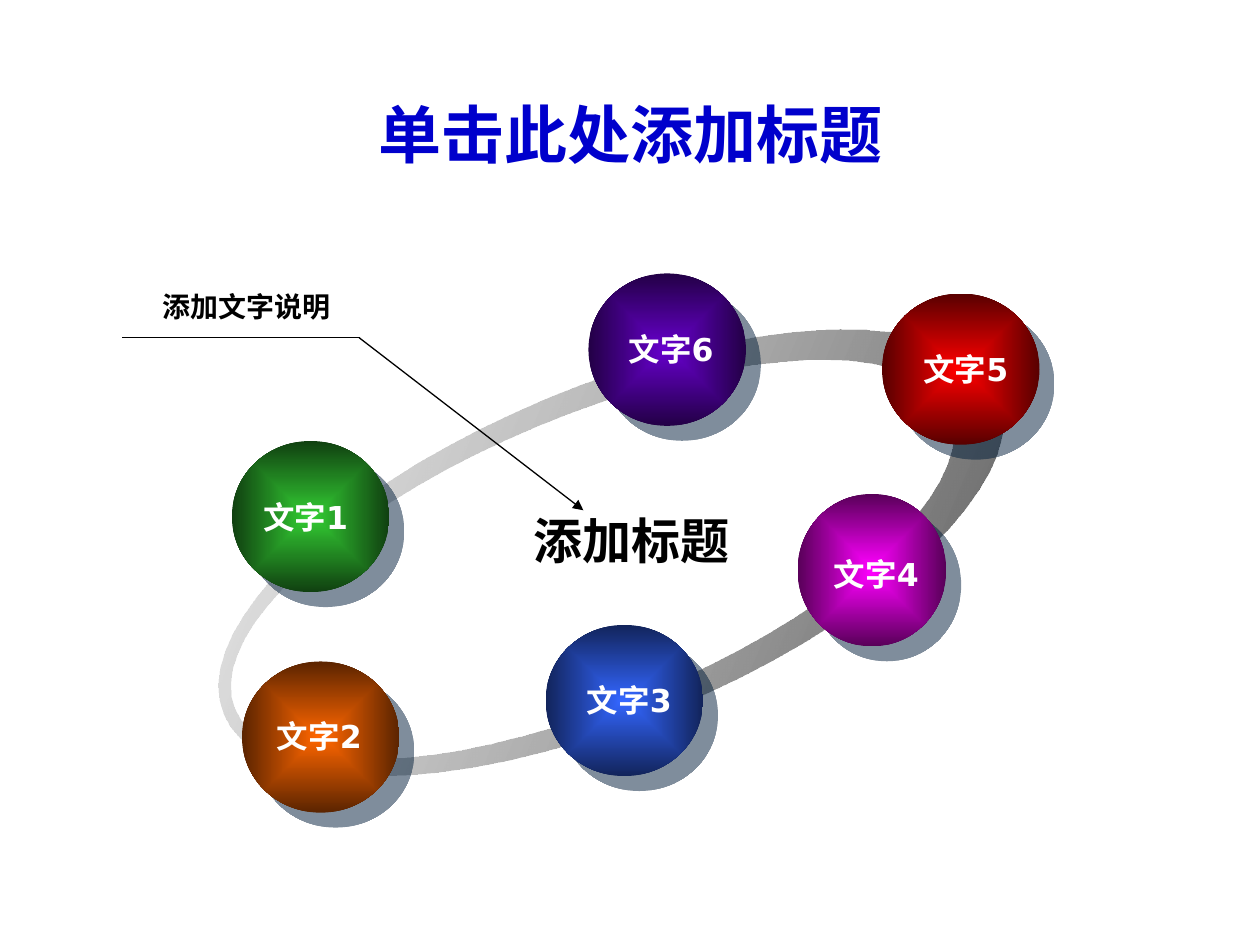
from math import cos, sin, radians
from lxml.etree import SubElement
from pptx import Presentation
from pptx.dml.color import RGBColor
from pptx.enum.shapes import MSO_CONNECTOR, MSO_SHAPE
from pptx.enum.text import MSO_ANCHOR, MSO_AUTO_SIZE, PP_ALIGN
from pptx.oxml import parse_xml
from pptx.oxml.ns import qn
from pptx.util import Inches, Pt

NS = 'xmlns:a="http://schemas.openxmlformats.org/drawingml/2006/main"'
BLUE = RGBColor(0x00, 0x00, 0xCC)
BLACK = RGBColor(0x00, 0x00, 0x00)
WHITE = RGBColor(0xFF, 0xFF, 0xFF)
SHADE = RGBColor(0x00, 0x1D, 0x3A)
PALE = RGBColor(0xC9, 0xC9, 0xC9)
DARK = RGBColor(0x4D, 0x4D, 0x4D)

BALLS = [
    ("5", 7, 2.33, 1.25, 1.2, RGBColor(0xFF, 0, 0), RGBColor(0x58, 0, 0), 7.23, 2.73),
    ("1", 1.84, 3.5, 1.25, 1.2, RGBColor(0x33, 0xCC, 0x33), RGBColor(0x10, 0x40, 0x10), 1.99, 3.9),
    ("2", 1.92, 5.25, 1.25, 1.2, RGBColor(0xFF, 0x66, 0), RGBColor(0x5B, 0x24, 0), 2.1, 5.64),
    ("3", 4.33, 4.96, 1.25, 1.2, RGBColor(0x33, 0x66, 0xFF), RGBColor(0x12, 0x24, 0x5B), 4.56, 5.36),
    ("4", 6.33, 3.92, 1.18, 1.21, RGBColor(0xFF, 0, 0xFF), RGBColor(0x58, 0, 0x58), 6.52, 4.36),
    ("6", 4.67, 2.17, 1.25, 1.21, RGBColor(0x66, 0, 0xCC), RGBColor(0x23, 0, 0x46), 4.89, 2.57),
]


def set_grad(shape, start, end, way, alpha=100):
    shape.fill.background()
    old = shape.fill._xPr.find(qn("a:noFill"))
    new = parse_xml(
        f'<a:gradFill {NS} rotWithShape="0"><a:gsLst>'
        f'<a:gs pos="0"><a:srgbClr val="{start}"><a:alpha val="{alpha * 1000}"/></a:srgbClr></a:gs>'
        f'<a:gs pos="100000"><a:srgbClr val="{end}"/></a:gs></a:gsLst>{way}</a:gradFill>')
    old.getparent().replace(old, new)
    shape.line.fill.background()


def oval(x, y, wide, high):
    turns = [radians(5 * step) for step in range(72)]
    return [(Inches(x + wide * cos(turn)), Inches(y + high * sin(turn))) for turn in turns]


def add_ring(slide):
    outer = oval(4.85, 4.385, 3.33, 1.325)
    inner = oval(4.69, 4.38, 3.07, 1.145)[::-1]
    pen = slide.shapes.build_freeform(*outer[0])
    pen.add_line_segments(outer[1:])
    pen.move_to(*inner[0])
    pen.add_line_segments(inner[1:])
    ring = pen.convert_to_shape()
    ring.rotation = 337.4
    ring.shadow.inherit = False
    set_grad(ring, PALE, DARK, '<a:lin ang="1380000" scaled="0"/>', 36)


def add_ball(slide, x, y, wide, high, light, dark):
    ball = slide.shapes.add_shape(
        MSO_SHAPE.OVAL, Inches(x), Inches(y), Inches(wide), Inches(high))
    set_grad(ball, light, dark,
             '<a:path path="rect"><a:fillToRect l="50000" t="50000" r="50000" b="50000"/></a:path>')
    ball.shadow.inherit = False
    glow = ball._element.spPr.find(qn("a:effectLst"))
    glow.append(parse_xml(
        f'<a:outerShdw {NS} blurRad="0" dist="{Pt(12.1)}" dir="2700000" algn="ctr" rotWithShape="0">'
        f'<a:srgbClr val="{SHADE}"><a:alpha val="50000"/></a:srgbClr></a:outerShdw>'))


def add_run(para, text, size, face, color):
    run = para.add_run()
    run.text = text
    font = run.font
    font.size, font.name, font.bold = Pt(size), face, True
    font.color.rgb = color


def add_label(slide, text, x, y, wide, high, size, face, color, align):
    box = slide.shapes.add_textbox(Inches(x), Inches(y), Inches(wide), Inches(high))
    frame = box.text_frame
    frame.word_wrap = True
    frame.auto_size = MSO_AUTO_SIZE.SHAPE_TO_FIT_TEXT
    para = frame.paragraphs[0]
    para.alignment = align
    add_run(para, text, size, face, color)


def add_line(slide, x1, y1, x2, y2, arrow=False):
    line = slide.shapes.add_connector(
        MSO_CONNECTOR.STRAIGHT, Inches(x1), Inches(y1), Inches(x2), Inches(y2))
    line.line.color.rgb = BLACK
    line.line.width = Pt(0.75)
    if arrow:
        SubElement(line.line._get_or_add_ln(), qn("a:tailEnd"), type="triangle")
    SubElement(line._element.spPr, qn("a:effectLst"))


def add_title(slide, text):
    title = slide.shapes.title
    title.left, title.top = Inches(1.25), Inches(0.69)
    title.width, title.height = Inches(7.5), Inches(0.73)
    title.text_frame.vertical_anchor = MSO_ANCHOR.MIDDLE
    para = title.text_frame.paragraphs[0]
    para.alignment = PP_ALIGN.CENTER
    add_run(para, text, 36, "Arial", BLUE)


def main():
    deck = Presentation()
    deck.slide_width, deck.slide_height = Inches(10), Inches(7.5)
    slide = deck.slides.add_slide(deck.slide_layouts[5])
    add_title(slide, "单击此处添加标题")
    add_ring(slide)
    for num, x, y, wide, high, light, dark, left, top in BALLS:
        add_ball(slide, x, y, wide, high, light, dark)
        add_label(slide, "文字" + num, left, top, 0.9, 0.4, 18, "DejaVu Sans", WHITE, PP_ALIGN.LEFT)
    add_label(slide, "添加标题", 3.75, 4, 2.52, 0.57, 28, "Arial", BLACK, PP_ALIGN.CENTER)
    add_line(slide, 2.85, 2.68, 4.63, 4.05, True)
    add_line(slide, 2.86, 2.68, 0.97, 2.68)
    add_label(slide, "添加文字说明", 0.83, 2.25, 2.25, 0.37, 16, "DejaVu Sans", BLACK, PP_ALIGN.CENTER)
    deck.save("out.pptx")


if __name__ == "__main__":
    main()
